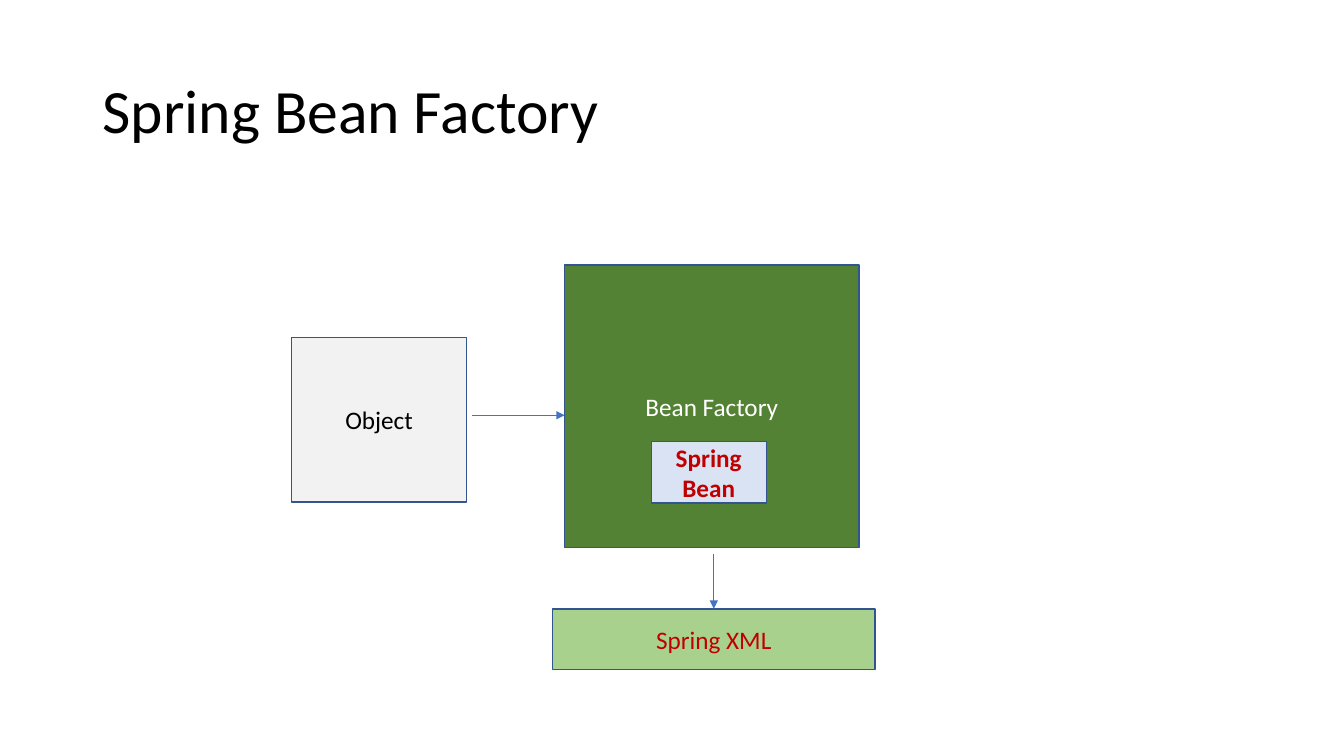
import pptx
import pptx.util
import pptx.dml.color
import pptx.enum.shapes
import pptx.enum.text
import pptx.oxml
import pptx.oxml.ns
from dataclasses import dataclass
from typing import NamedTuple


@dataclass(frozen=True)
class Theme:
    font: str = "Calibri"
    title_size: float = 44
    label_size: float = 18
    ink: str = "000000"
    white: str = "FFFFFF"
    red: str = "C00000"
    outline: str = "325491"
    arrow: str = "4472C4"
    object_fill: str = "F2F2F2"
    factory_fill: str = "548235"
    xml_fill: str = "A9D18E"
    bean_fill: str = "DAE3F3"
    outline_width: float = 1
    arrow_width: float = 0.5


class Box(NamedTuple):
    """A rectangle in grid cells."""
    left: float
    top: float
    width: float
    height: float

    def inside(self, area):
        return Box(area.left + self.left, area.top + self.top, self.width, self.height)

    @property
    def right(self):
        return self.left + self.width

    @property
    def bottom(self):
        return self.top + self.height

    @property
    def center(self):
        return self.left + self.width / 2


THEME = Theme()
CELLS_PER_INCH = 10  # the slide is a grid of square cells


def cells(*lengths):
    return [pptx.util.Inches(length / CELLS_PER_INCH) for length in lengths]


def rgb(color):
    return pptx.dml.color.RGBColor.from_string(color)


def write(frame, text, size, color, align, bold=False):
    frame.word_wrap = True
    frame.vertical_anchor = pptx.enum.text.MSO_ANCHOR.MIDDLE
    frame.text = text
    paragraph = frame.paragraphs[0]
    paragraph.alignment = align
    font = paragraph.runs[0].font
    font.name, font.size, font.bold = THEME.font, pptx.util.Pt(size), bold
    font.color.rgb = rgb(color)
    return paragraph


def add_block(slide, box, text, fill, color, bold=False):
    block = slide.shapes.add_shape(pptx.enum.shapes.MSO_SHAPE.RECTANGLE, *cells(*box))
    block.shadow.inherit = False
    block.fill.solid()
    block.fill.fore_color.rgb = rgb(fill)
    block.line.color.rgb = rgb(THEME.outline)
    block.line.width = pptx.util.Pt(THEME.outline_width)
    write(block.text_frame, text, THEME.label_size, color,
          pptx.enum.text.PP_ALIGN.CENTER, bold)


def add_arrow(slide, start, end):
    arrow = slide.shapes.add_connector(
        pptx.enum.shapes.MSO_CONNECTOR.STRAIGHT, *cells(*start, *end))
    arrow.line.color.rgb = rgb(THEME.arrow)
    arrow.line.width = pptx.util.Pt(THEME.arrow_width)
    head = pptx.oxml.parse_xml(
        f'<a:tailEnd {pptx.oxml.ns.nsdecls("a")} type="triangle"/>')
    arrow.line._get_or_add_ln().append(head)
    arrow._element.spPr.append(pptx.oxml.parse_xml(
        f'<a:effectLst {pptx.oxml.ns.nsdecls("a")}/>'))


def add_title(slide, area):
    title = slide.shapes.add_textbox(*cells(*area))
    paragraph = write(title.text_frame, "Spring Bean Factory", THEME.title_size,
                      THEME.ink, pptx.enum.text.PP_ALIGN.LEFT)
    paragraph.line_spacing = 0.9


def add_factory_diagram(slide, area):
    client = Box(0, 7.2, 17.4, 16.3).inside(area)
    factory = Box(27.1, 0, 29.2, 28).inside(area)
    xml = Box(25.9, 34.1, 32, 6).inside(area)
    bean = Box(8.6, 17.5, 11.4, 6.1).inside(factory)

    # Object asks the factory
    add_block(slide, client, "Object", THEME.object_fill, THEME.ink)
    request_row = area.top + 14.9
    add_arrow(slide, (client.right + 0.5, request_row), (factory.left, request_row))

    # Factory reads its configuration
    add_block(slide, factory, "Bean Factory", THEME.factory_fill, THEME.white)
    add_block(slide, xml, "Spring XML", THEME.xml_fill, THEME.red)
    add_arrow(slide, (xml.center, factory.bottom + 0.7), (xml.center, xml.top))

    # Bean held in the factory
    add_block(slide, bean, "Spring Bean", THEME.bean_fill, THEME.red, bold=True)


def main():
    deck = pptx.Presentation()
    deck.slide_width = pptx.util.Inches(13.33)
    deck.slide_height = pptx.util.Inches(7.5)
    slide = deck.slides.add_slide(deck.slide_layouts[6])
    add_title(slide, Box(9.2, 4, 115, 14.5))
    add_factory_diagram(slide, Box(28.9, 26.3, 57.9, 40.1))
    deck.save("out.pptx")


if __name__ == "__main__":
    main()
